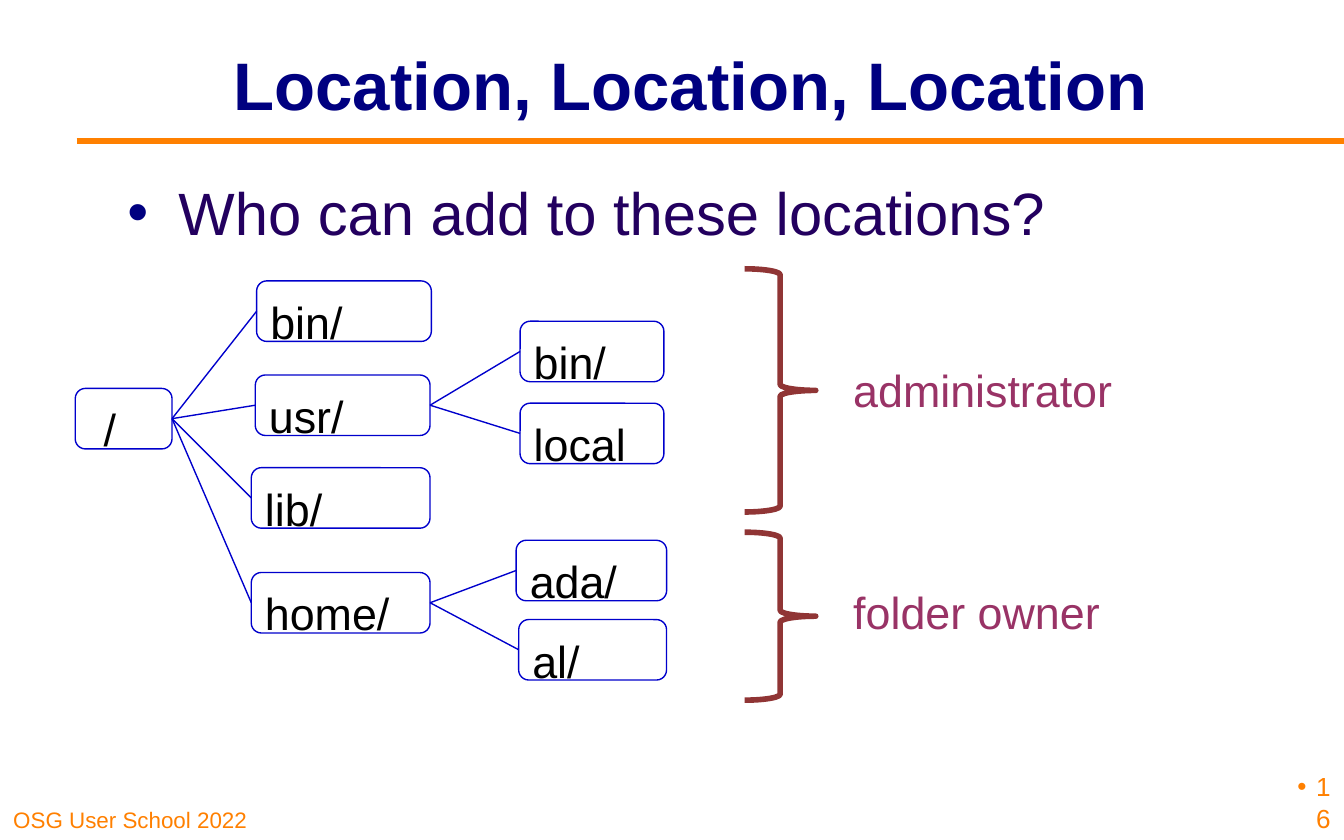
from lxml.etree import SubElement
from pptx import Presentation
from pptx.dml.color import RGBColor
from pptx.enum.shapes import MSO_CONNECTOR, MSO_SHAPE
from pptx.enum.text import MSO_ANCHOR, PP_ALIGN
from pptx.oxml.ns import qn
from pptx.util import Inches, Pt

THEME = {
    "font": "Arial",
    "title": "000080", "body": "23005F", "accent": "FF8000",
    "tree": "0000CC", "node": "000000", "owner": "993366", "brace": "903535",
    "title_pt": 36, "body_pt": 32, "label_pt": 24, "page_pt": 14, "footer_pt": 12,
    "thin_pt": 0.75, "thick_pt": 3,
}

TITLE = "Location, Location, Location"
QUESTION = "Who can add to these locations?"
FOOTER = "OSG User School 2022"
PAGE = "16"

NODE_H = 0.45
FOLDERS = [
    ("root", "/", None, 0.56, 2.89, 0.72),
    ("bin", "bin/", "root", 1.91, 2.09, 1.3),
    ("usr", "usr/", "root", 1.9, 2.79, 1.3),
    ("lib", "lib/", "root", 1.87, 3.48, 1.33),
    ("home", "home/", "root", 1.87, 4.26, 1.33),
    ("usr_bin", "bin/", "usr", 3.87, 2.39, 1.07),
    ("usr_local", "local", "usr", 3.87, 3, 1.07),
    ("ada", "ada/", "home", 3.84, 4.02, 1.12),
    ("al", "al/", "home", 3.86, 4.61, 1.1),
]
OWNERS = [
    ("administrator", 2, 1.81, 2.61),
    ("folder owner", 3.96, 1.25, 4.26),
]
LEFT_SITE, RIGHT_SITE = 1, 3


def color(name):
    return RGBColor.from_string(THEME[name])


def write(sp, text, size, fill, bold=False, align=PP_ALIGN.LEFT,
          anchor=MSO_ANCHOR.TOP, left=0.1, top=0.05, wrap=True, bullet=None):
    tf = sp.text_frame
    tf.word_wrap = wrap
    tf.vertical_anchor = anchor
    tf.margin_left, tf.margin_top = Inches(left), Inches(top)
    tf.margin_right, tf.margin_bottom = Inches(0.1), Inches(0.05)
    p = tf.paragraphs[0]
    p.alignment = align
    if bullet:
        indent, bullet_color = bullet
        pPr = p._p.get_or_add_pPr()
        pPr.set("marL", str(Inches(indent)))
        pPr.set("indent", str(-Inches(indent)))
        clr = SubElement(pPr, qn("a:buClr"))
        SubElement(clr, qn("a:srgbClr")).set("val", THEME[bullet_color])
        SubElement(pPr, qn("a:buFont")).set("typeface", THEME["font"])
        SubElement(pPr, qn("a:buChar")).set("char", "•")
    r = p.add_run()
    r.text = text
    r.font.name = THEME["font"]
    r.font.size = Pt(THEME[size])
    r.font.bold = bold
    r.font.color.rgb = color(fill)


def add_text(s, box, *args, **kwargs):
    write(s.shapes.add_textbox(*map(Inches, box)), *args, **kwargs)


def add_outline(s, kind, box, line, width):
    sp = s.shapes.add_shape(kind, *map(Inches, box))
    sp.shadow.inherit = False
    sp.fill.background()
    sp.line.color.rgb = color(line)
    sp.line.width = Pt(THEME[width])
    return sp


def add_line(s, ends, line, width):
    cx = s.shapes.add_connector(MSO_CONNECTOR.STRAIGHT, *map(Inches, ends))
    cx.line.color.rgb = color(line)
    cx.line.width = Pt(THEME[width])
    SubElement(cx._element.spPr, qn("a:effectLst"))
    return cx


def add_tree(s):
    nodes = {}
    for key, label, parent, x, y, w in FOLDERS:
        sp = add_outline(s, MSO_SHAPE.ROUNDED_RECTANGLE, (x, y, w, NODE_H), "tree", "thin_pt")
        write(sp, label, "label_pt", "node", left=0.08 if parent else 0.19, top=0.08)
        nodes[key] = sp
        if parent:
            cx = add_line(s, (0, 0, 0, 0), "tree", "thin_pt")
            cx.begin_connect(sp, LEFT_SITE)
            cx.end_connect(nodes[parent], RIGHT_SITE)


def add_owners(s):
    for label, top, height, label_top in OWNERS:
        add_outline(s, MSO_SHAPE.RIGHT_BRACE, (5.54, top, 0.53, height), "brace", "thick_pt")
        add_text(s, (6.25, label_top, 2.15, 0.5), label, "label_pt", "owner", top=0.09)


def main():
    prs = Presentation()
    prs.slide_width, prs.slide_height = Inches(10), Inches(6.25)
    s = prs.slides.add_slide(prs.slide_layouts[5])

    title = s.shapes.title
    title.left, title.top, title.width, title.height = map(Inches, (1.34, 0.1, 7.6, 1.04))
    write(title, TITLE, "title_pt", "title", bold=True,
          align=PP_ALIGN.CENTER, anchor=MSO_ANCHOR.MIDDLE)
    add_line(s, (0.57, 1.05, 10, 1.05), "accent", "thick_pt")

    add_text(s, (0.85, 1.22, 8.5, 1.25), QUESTION, "body_pt", "body",
             top=0.09, bullet=(0.38, "title"))
    add_tree(s)
    add_owners(s)

    add_text(s, (0, 5.9, 2.48, 0.35), FOOTER, "footer_pt", "accent", anchor=MSO_ANCHOR.BOTTOM)
    add_text(s, (9.54, 5.83, 0.46, 0.42), PAGE, "page_pt", "accent",
             align=PP_ALIGN.RIGHT, anchor=MSO_ANCHOR.BOTTOM, bullet=(0.14, "accent"))
    prs.save("out.pptx")


if __name__ == "__main__":
    main()
